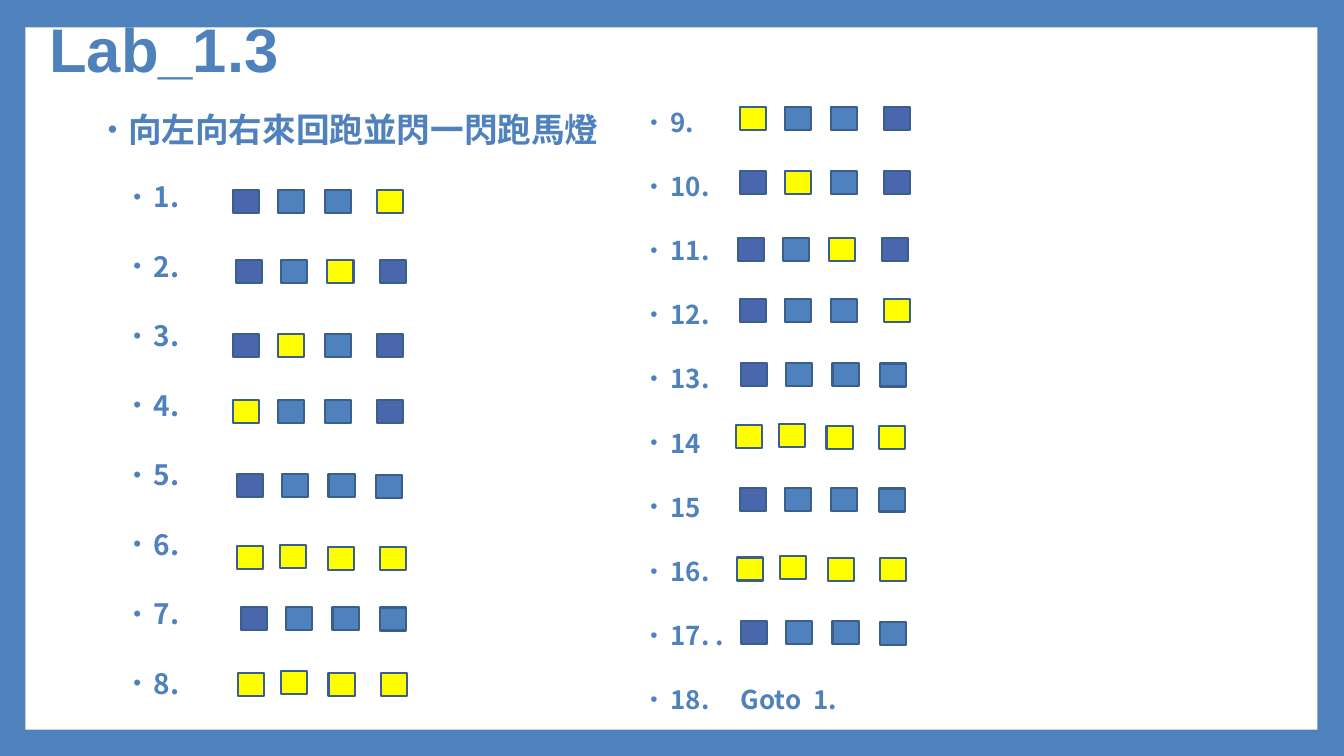
import pptx
import pptx.util
import pptx.dml.color
import pptx.enum.shapes
import pptx.enum.text
import pptx.oxml.ns
import lxml.etree

Cm, Pt = pptx.util.Cm, pptx.util.Pt
BLUE, INDIGO, YELLOW, EDGE, WHITE = "4F81BD", "4A66AC", "FFFF00", "3A5F8C", "FFFFFF"
TEXT_FONT = "Noto Sans CJK SC"

# Content
TITLE = "Lab_1.3"
HEADING = "向左向右來回跑並閃一閃跑馬燈"
LEFT_STEPS = ["1.", "2.", "3.", "4.", "5.", "6.", "7.", "8."]
RIGHT_STEPS = ["9.", "10.", "11.", "12.", "13.", "14", "15", "16.", "17. .", "18. Goto 1."]
WIDE_SPACES = {"18. Goto 1.": (18, 4.5)}  # extra points after each word

# Lamp patterns: colours, then left and top offsets in cm
RUN_COLOURS = (INDIGO, BLUE, BLUE, INDIGO)
RUN_PLACES = ((0, 0), (1.14, 0), (2.31, 0), (3.63, 0))


def running(lit):
    colours = [YELLOW if lamp == lit else colour for lamp, colour in enumerate(RUN_COLOURS)]
    return colours, RUN_PLACES


ALL_OFF = (INDIGO, BLUE, BLUE, BLUE), ((0, 0), (1.14, 0), (2.31, 0), (3.51, 0.02))
ALL_LIT = (YELLOW,) * 4, ((0, 0.03), (1.09, 0), (2.29, 0.05), (3.61, 0.05))

# Left and top in cm, and pattern, of each step's lamps
LAMP_ROWS = [
    (5.87, 4.78, running(3)), (5.94, 6.55, running(2)),
    (5.87, 8.41, running(1)), (5.87, 10.08, running(0)),
    (5.97, 11.94, ALL_OFF), (5.97, 13.74, ALL_LIT),
    (6.07, 15.29, ALL_OFF), (5.99, 16.92, ALL_LIT),
    (18.64, 2.69, running(0)), (18.64, 4.32, running(1)),
    (18.59, 5.99, running(2)), (18.64, 7.54, running(3)),
    (18.67, 9.14, ALL_OFF), (18.54, 10.69, ALL_LIT),
    (18.64, 12.29, ALL_OFF), (18.57, 14.02, ALL_LIT), (18.67, 15.65, ALL_OFF),
]


def rgb(colour):
    return pptx.dml.color.RGBColor.from_string(colour)


def set_all(target, values):
    for name, value in values.items():
        setattr(target, name, value)


def add_rectangle(shapes, place, fill, edge=None):
    shape = shapes.add_shape(pptx.enum.shapes.MSO_SHAPE.RECTANGLE, *map(Cm, place))
    shape.shadow.inherit = False
    shape.fill.solid()
    shape.fill.fore_color.rgb = rgb(fill)
    if edge:
        shape.line.color.rgb = rgb(edge)
        shape.line.width = Pt(1.5)
    else:
        shape.line.fill.background()


def add_child(parent, tag, **attributes):
    return lxml.etree.SubElement(parent, pptx.oxml.ns.qn(tag), attributes)


def add_span(para, text, size, spacing=0):
    span = para.add_run()
    span.text = text
    set_all(span.font, {"size": Pt(size), "bold": True, "name": TEXT_FONT})
    span.font.color.rgb = rgb(BLUE)
    properties = span.font._element
    add_child(properties, "a:ea", typeface=TEXT_FONT)
    if spacing:
        properties.set("spc", str(int(spacing * 100)))


def add_bullet(para, indent):
    properties = para._p.get_or_add_pPr()
    properties.set("marL", str(Cm(indent)))
    properties.set("indent", str(-Cm(0.51)))
    add_child(add_child(properties, "a:buClr"), "a:srgbClr", val=BLUE)
    add_child(properties, "a:buSzPct", val="80000")
    add_child(properties, "a:buFont", typeface="Arial")
    add_child(properties, "a:buChar", char="•")


def add_list(place, lines, margin_top):
    """Each line is text, size, line height, space before, space after, level."""
    box = page.shapes.add_textbox(*map(Cm, place))
    set_all(box.text_frame, {"word_wrap": True, "margin_top": Cm(margin_top)})
    for number, (text, size, height, before, after, level) in enumerate(lines):
        para = box.text_frame.add_paragraph() if number else box.text_frame.paragraphs[0]
        set_all(para, {"line_spacing": Pt(height), "space_before": Pt(before),
                       "space_after": Pt(after), "level": level})
        add_bullet(para, 0.64 * (level + 1))
        if text not in WIDE_SPACES:
            add_span(para, text, size)
            continue
        words = text.split()
        for word, gap in zip(words, WIDE_SPACES[text]):
            add_span(para, word, size)
            add_span(para, " ", size, gap)
        add_span(para, words[-1], size)


deck = pptx.Presentation()
set_all(deck, {"slide_width": Cm(33.87), "slide_height": Cm(19.05)})
page = deck.slides.add_slide(deck.slide_layouts[5])

# Blue frame around a white panel
page.background.fill.solid()
page.background.fill.fore_color.rgb = rgb(BLUE)
add_rectangle(page.shapes, (0.64, 0.69, 32.56, 17.7), WHITE)

# Title, brought in front of the panel
title = page.shapes.title
page.shapes._spTree.append(title._element)
set_all(title, {"left": Cm(0.99), "top": Cm(-0.56), "width": Cm(27.43), "height": Cm(3.76)})
set_all(title.text_frame, {"text": TITLE, "auto_size": pptx.enum.text.MSO_AUTO_SIZE.NONE,
                           "vertical_anchor": pptx.enum.text.MSO_ANCHOR.MIDDLE})
para = title.text_frame.paragraphs[0]
set_all(para, {"alignment": pptx.enum.text.PP_ALIGN.LEFT, "line_spacing": 0.9})
set_all(para.runs[0].font, {"size": Pt(44), "bold": True, "name": "Arial"})
para.runs[0].font.color.rgb = rgb(BLUE)

# Step lists
left_lines = [(HEADING, 24, 27, 14, 0, 0)]
left_lines += [(step, 20, 21.6, 24, 4, 1) for step in LEFT_STEPS]
add_list((2.34, 2.69, 13.36, 15.39), left_lines, 0.13)
right_lines = [(step, 18.5, 17.8, 24, 4, 1) for step in RIGHT_STEPS]
add_list((15.37, 0.89, 11.99, 17.5), right_lines, 1.95)

# Four lamps per step
for left, top, (colours, places) in LAMP_ROWS:
    lamps = page.shapes.add_group_shape()
    for colour, (across, down) in zip(colours, places):
        add_rectangle(lamps.shapes, (left + across, top + down, 0.66, 0.58), colour, EDGE)

deck.save("out.pptx")
